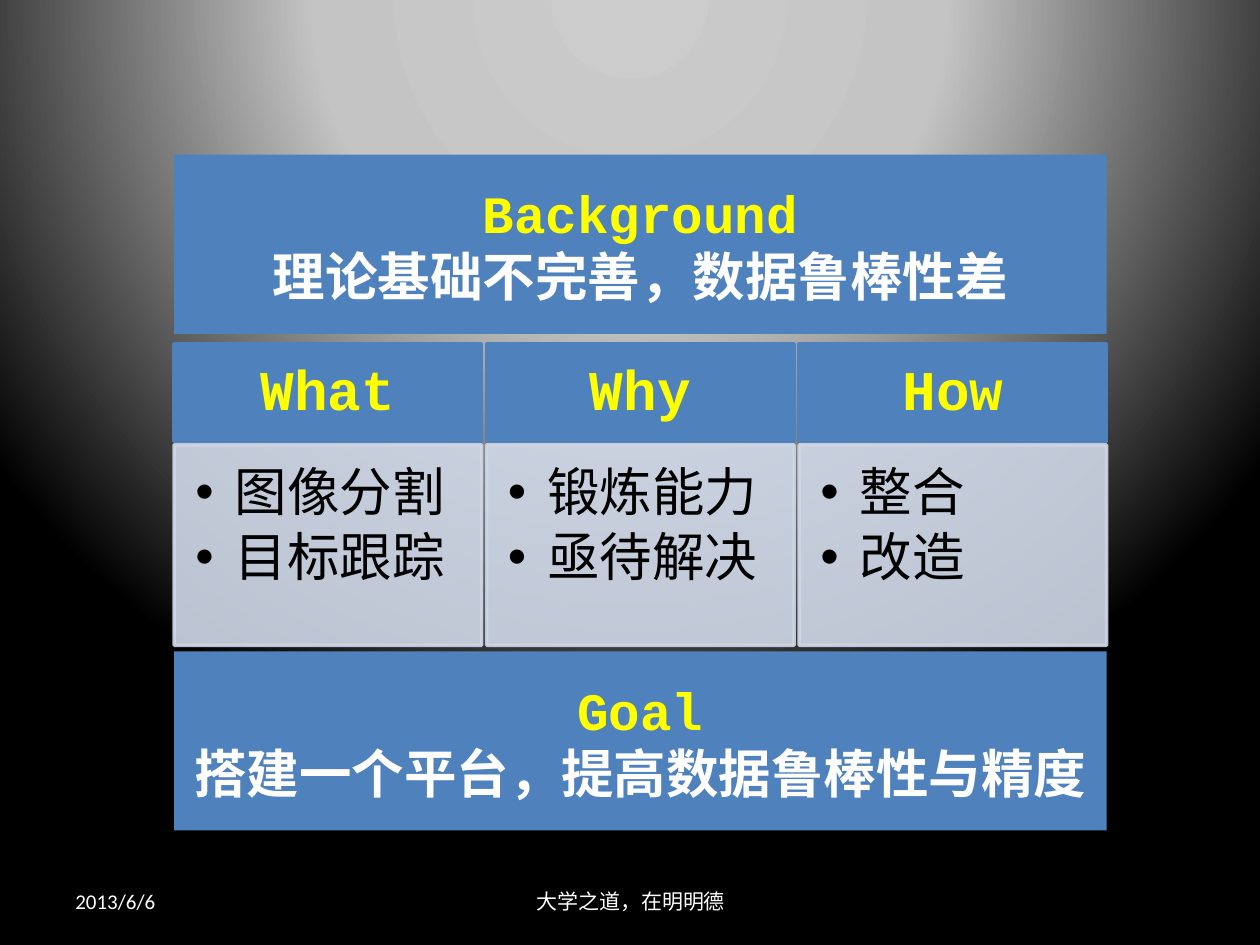
from lxml import etree
from pptx import Presentation
from pptx.dml.color import RGBColor
from pptx.enum.shapes import MSO_SHAPE
from pptx.enum.text import MSO_ANCHOR, PP_ALIGN
from pptx.oxml import parse_xml
from pptx.oxml.ns import nsdecls, qn
from pptx.util import Cm, Pt

RECT = MSO_SHAPE.RECTANGLE
TOP, MIDDLE = MSO_ANCHOR.TOP, MSO_ANCHOR.MIDDLE
LEFT, CENTER = PP_ALIGN.LEFT, PP_ALIGN.CENTER
BLUE, PALE, YELLOW, WHITE, BLACK = "4F81BD", "D0D8E8", "FFFF00", "FFFFFF", "000000"
rgb = RGBColor.from_string


def add_box(x, y, w, h, color, anchor, margins, line_width=0):
    sp = s.shapes.add_shape(RECT, Cm(x), Cm(y), Cm(w), Cm(h))
    sp.shadow.inherit = False
    sp.fill.solid()
    sp.fill.fore_color.rgb = rgb(color)
    if line_width:
        sp.line.color.rgb = rgb(color)
        sp.line.width = Pt(line_width)
    else:
        sp.line.fill.background()
    tf = sp.text_frame
    tf.word_wrap = True
    tf.vertical_anchor = anchor
    tf.margin_left, tf.margin_top, tf.margin_right, tf.margin_bottom = map(Cm, margins)
    return sp


def add_run(p, text, size, font, color, bold=False):
    r = p.add_run()
    r.text = text
    r.font.size = Pt(size)
    r.font.name = font
    r.font.bold = bold
    r.font.color.rgb = rgb(color)


prs = Presentation()
prs.slide_width, prs.slide_height = Cm(25.4), Cm(19.05)
s = prs.slides.add_slide(prs.slide_layouts[6])

stops = "".join(
    f'<a:gs pos="{pos}000"><a:srgbClr val="{color}"/></a:gs>'
    for pos, color in [(0, "CCCCCC"), (40, "C4C4C4"), (100, BLACK)]
)
s.element.cSld.insert(0, parse_xml(
    f'<p:bg {nsdecls("p", "a")}><p:bgPr><a:gradFill rotWithShape="1">'
    f'<a:gsLst>{stops}</a:gsLst><a:path path="circle">'
    '<a:fillToRect l="50000" t="-80000" r="50000" b="180000"/></a:path>'
    '</a:gradFill><a:effectLst/></p:bgPr></p:bg>'
))

footers = [
    (1.27, 5.92, LEFT, "2013/6/6"),
    (8.69, 8.05, CENTER, "大学之道，在明明德"),
]
for x, w, align, text in footers:
    tf = s.shapes.add_textbox(Cm(x), Cm(17.65), Cm(w), Cm(1.02)).text_frame
    tf.word_wrap = True
    tf.vertical_anchor = MIDDLE
    p = tf.paragraphs[0]
    p.alignment = align
    add_run(p, text, 12, "Calibri", WHITE)

banners = [
    (3.12, "Background", "理论基础不完善，数据鲁棒性差"),
    (13.13, "Goal", "搭建一个平台，提高数据鲁棒性与精度"),
]
for y, title, detail in banners:
    tf = add_box(3.51, y, 18.8, 3.61, BLUE, MIDDLE, (0.25, 0.13, 0.25, 0.13)).text_frame
    for i, (text, color) in enumerate([(title, YELLOW), (detail, WHITE)]):
        p = tf.add_paragraph() if i else tf.paragraphs[0]
        p.alignment = CENTER
        add_run(p, text, 30, "Courier New", color, True)

columns = [
    ("What", ["图像分割", "目标跟踪"]),
    ("Why", ["锻炼能力", "亟待解决"]),
    ("How", ["整合", "改造"]),
]
for col, (heading, items) in enumerate(columns):
    x = 3.51 + 6.3 * col
    sp = add_box(x, 6.93, 6.2, 1.96, BLUE, MIDDLE, (0.64, 0.36, 0.64, 0.36), 2)
    p = sp.text_frame.paragraphs[0]
    p.alignment = CENTER
    p.line_spacing = 0.9
    add_run(p, heading, 32, "Courier New", YELLOW, True)

    sp = add_box(x, 8.97, 6.2, 4.04, PALE, TOP, (0.43, 0.43, 0.58, 0.66), 2)
    for clr in sp.element.spPr.iter(qn("a:srgbClr")):
        etree.SubElement(clr, qn("a:alpha"), val="90000")
    tf = sp.text_frame
    for i, item in enumerate(items):
        p = tf.add_paragraph() if i else tf.paragraphs[0]
        pPr = p._p.get_or_add_pPr()
        pPr.set("marL", str(Cm(0.79)))
        pPr.set("indent", str(-Cm(0.79)))
        etree.SubElement(pPr, qn("a:buFont"), typeface="Arial")
        etree.SubElement(pPr, qn("a:buChar"), char="•")
        p.level = 1
        p.alignment = LEFT
        p.line_spacing = 0.9
        p.space_after = Pt(4.5)
        add_run(p, item, 30, "Calibri", BLACK)

prs.save("out.pptx")
